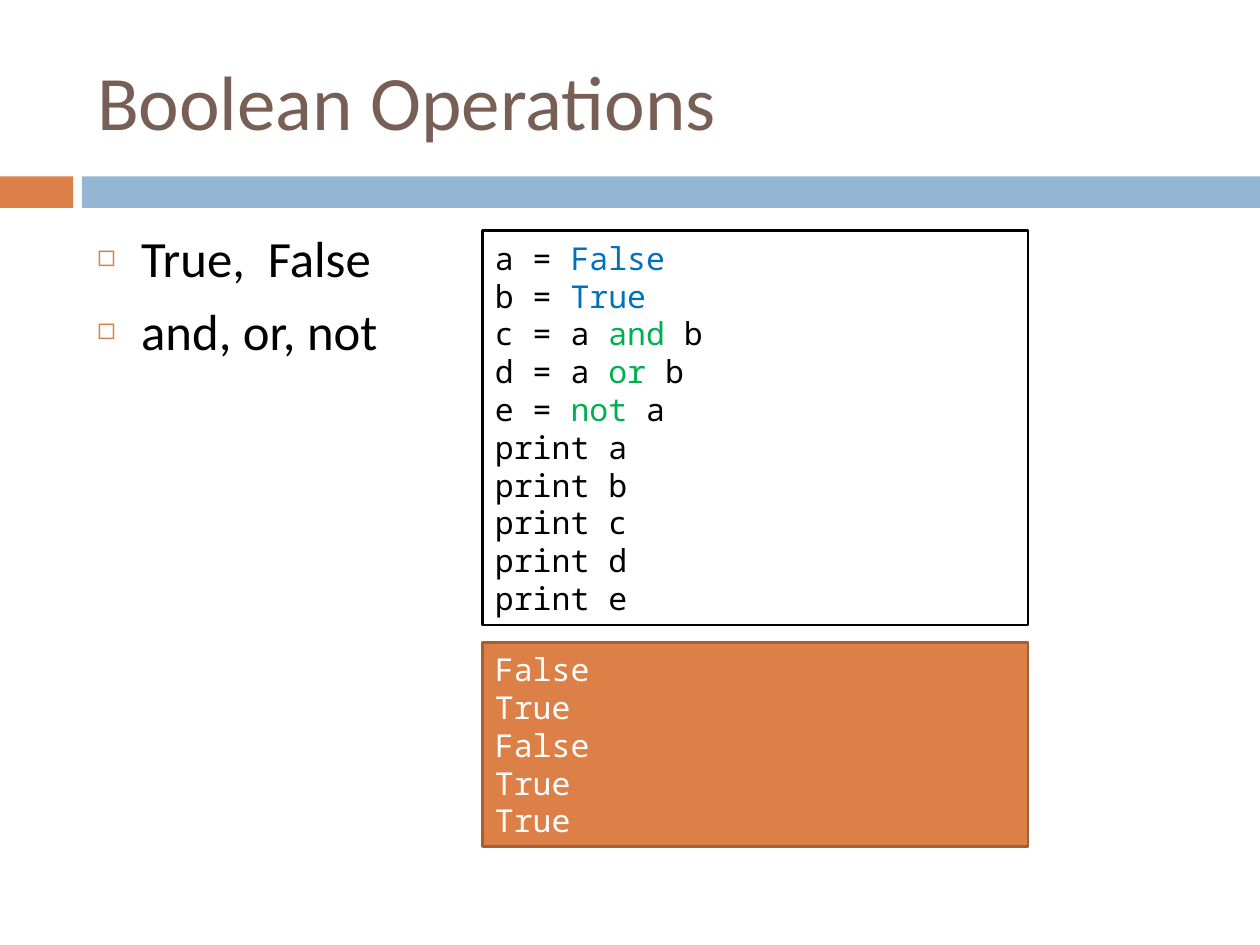
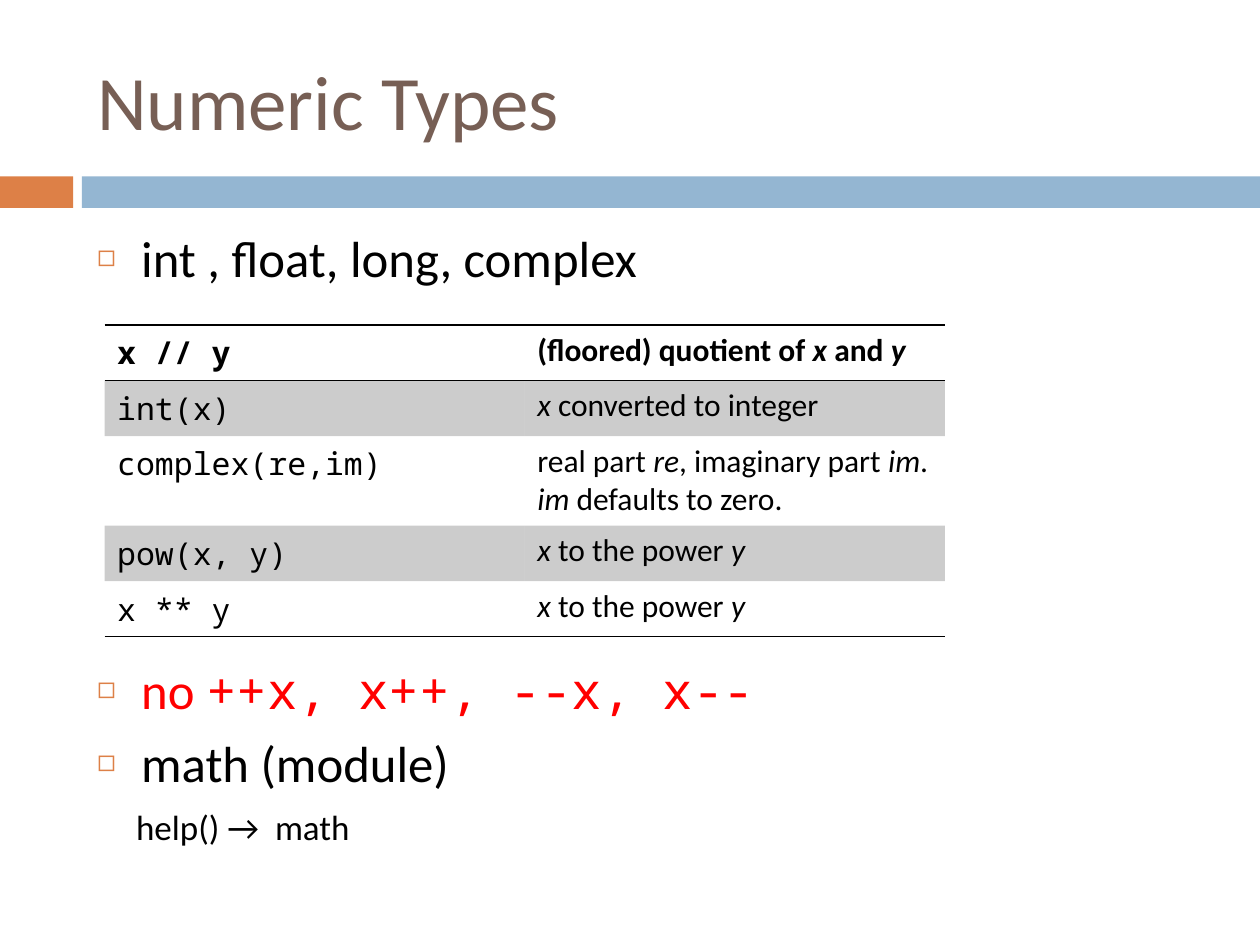
"""Builds two Python lesson slides: Boolean operations and numeric types."""
from lxml import etree
from pptx import Presentation
from pptx.dml.color import RGBColor
from pptx.enum.shapes import MSO_SHAPE
from pptx.enum.text import MSO_ANCHOR, MSO_AUTO_SIZE, PP_ALIGN
from pptx.oxml import parse_xml
from pptx.oxml.ns import nsdecls, qn
from pptx.util import Inches, Pt


class Theme:
    orange, blue, brown = "DD8047", "94B6D2", "775F55"
    black, white, red = "000000", "FFFFFF", "FF0000"
    value, operator, rust = "0070C0", "00B050", "A35F35"
    sans, mono = "Calibri", "Noto Sans Mono"
    title, body, small, code = 44, 29, 20, 18
    code_pitch, body_gap, table_gap = 21.6, 7, 212


VALUE, OPERATOR = {"color": Theme.value}, {"color": Theme.operator}
ITALIC = {"italic": True}
X, Y, RE, IM = (("x", ITALIC), ("y", ITALIC), ("re", ITALIC), ("im", ITALIC))

BOOLEAN_ITEMS = [["True,  False"], ["and, or, not"]]
CODE = [
    ["a = ", ("False", VALUE)],
    ["b = ", ("True", VALUE)],
    ["c = a ", ("and", OPERATOR), " b"],
    ["d = a ", ("or", OPERATOR), " b"],
    ["e = ", ("not", OPERATOR), " a"],
    *[[f"print {name}"] for name in "abcde"],
]
OUTPUT = [["False"], ["True"], ["False"], ["True"], ["True"]]

NUMERIC_ITEMS = [
    ["int , float, long, complex"],
    [("no ", {"color": Theme.red}),
     ("++x, x++, --x, x--", {"color": Theme.red, "font": Theme.mono})],
    ["math (module)"],
    [("help() →  math", {"size": Theme.small})],
]
OPERATIONS = [
    ("x // y", ["(floored) quotient of ", X, " and ", Y]),
    ("int(x)", [X, " converted to integer"]),
    ("complex(re,im)", ["real part ", RE, ", imaginary part ", IM, ". ", IM, " defaults to zero."]),
    ("pow(x, y)", [X, " to the power ", Y]),
    ("x ** y", [X, " to the power ", Y]),
]


def rgb(color):
    return RGBColor.from_string(color)


def place(sp, left, top, width, height):
    sp.left, sp.top, sp.width, sp.height = map(Inches, (left, top, width, height))


def write(tf, paragraphs, pitch=None, gap=0, **base):
    """Write paragraphs of runs; a run is a string or (string, format)."""
    tf.word_wrap = True
    tf.auto_size = MSO_AUTO_SIZE.NONE
    for i, runs in enumerate(paragraphs):
        p = tf.paragraphs[0] if i == 0 else tf.add_paragraph()
        p.alignment = PP_ALIGN.LEFT
        p.space_before = Pt(gap)
        if pitch:
            p.line_spacing = Pt(pitch)
        for run in runs:
            text, own = (run, {}) if isinstance(run, str) else run
            fmt = {"font": Theme.sans, "color": Theme.black, "bold": False, "italic": False, **base, **own}
            r = p.add_run()
            r.text = text
            r.font.name, r.font.size = fmt["font"], Pt(fmt["size"])
            r.font.bold, r.font.italic = fmt["bold"], fmt["italic"]
            r.font.color.rgb = rgb(fmt["color"])


def add_box(slide, at, fill, line=None):
    sp = slide.shapes.add_shape(MSO_SHAPE.RECTANGLE, *map(Inches, at))
    sp.shadow.inherit = False
    sp.fill.solid()
    sp.fill.fore_color.rgb = rgb(fill)
    if line:
        sp.line.color.rgb = rgb(line)
        sp.line.width = Pt(1.5)
    else:
        sp.line.fill.background()
    return sp


def add_code(slide, top, height, lines, fill, line, color):
    sp = add_box(slide, (3.83, top, 4.33, height), fill, line)
    write(sp.text_frame, lines, pitch=Theme.code_pitch, font=Theme.mono, size=Theme.code, color=color)


def set_bullet(p, indent=0.35, bullet=True):
    pPr = p._p.get_or_add_pPr()
    pPr.set("marL", str(Inches(indent)))
    pPr.set("indent", str(-Inches(indent) if bullet else 0))
    if not bullet:
        etree.SubElement(pPr, qn("a:buNone"))
        return
    color = etree.SubElement(pPr, qn("a:buClr"))
    etree.SubElement(color, qn("a:srgbClr"), val=Theme.orange)
    etree.SubElement(pPr, qn("a:buSzPct"), val="60000")
    etree.SubElement(pPr, qn("a:buFont"), typeface=Theme.sans)
    etree.SubElement(pPr, qn("a:buChar"), char="◻")


def add_slide(prs, title, items):
    slide = prs.slides.add_slide(prs.slide_layouts[1])
    add_box(slide, (0, 1.4, 0.58, 0.25), Theme.orange)
    add_box(slide, (0.65, 1.4, 9.35, 0.25), Theme.blue)
    heading, body = slide.shapes.title, slide.placeholders[1]
    place(heading, 0.67, 0.25, 8.92, 1.08)
    heading.text_frame.vertical_anchor = MSO_ANCHOR.MIDDLE
    write(heading.text_frame, [[title]], size=Theme.title, color=Theme.brown)
    place(body, 0.67, 1.75, 8.92, 4.92)
    write(body.text_frame, items, gap=Theme.body_gap, size=Theme.body)
    for p in body.text_frame.paragraphs:
        set_bullet(p)
    return slide, body.text_frame.paragraphs


def set_borders(cell, top, bottom):
    tcPr = cell._tc.get_or_add_tcPr()
    for i, (side, shown) in enumerate((("L", False), ("R", False), ("T", top), ("B", bottom))):
        paint = f'<a:solidFill><a:srgbClr val="{Theme.black}"/></a:solidFill>' if shown else "<a:noFill/>"
        tcPr.insert(i, parse_xml(f'<a:ln{side} {nsdecls("a")} w="{Pt(1)}">{paint}</a:ln{side}>'))


def add_operations(slide):
    count = len(OPERATIONS)
    frame = slide.shapes.add_table(count, 2, Inches(0.83), Inches(2.58), Inches(6.67), Inches(0.41 * count))
    table = frame.table
    table.horz_banding = False
    for i, (call, meaning) in enumerate(OPERATIONS):
        for j, (runs, font) in enumerate((([call], Theme.mono), (meaning, Theme.sans))):
            cell = table.cell(i, j)
            write(cell.text_frame, [runs], font=font, size=Theme.code, bold=i == 0)
            if i % 2:
                cell.fill.solid()
                cell.fill.fore_color.rgb = rgb(Theme.black)
                color = cell._tc.tcPr.find(".//" + qn("a:srgbClr"))
                etree.SubElement(color, qn("a:alpha"), val="20000")
            else:
                cell.fill.background()
            set_borders(cell, top=i in (0, 1), bottom=i in (0, count - 1))


def main():
    prs = Presentation()
    prs.slide_width, prs.slide_height = Inches(10), Inches(7.5)

    slide, _ = add_slide(prs, "Boolean Operations", BOOLEAN_ITEMS)
    add_code(slide, 1.83, 3.13, CODE, Theme.white, Theme.black, Theme.black)
    add_code(slide, 5.1, 1.62, OUTPUT, Theme.orange, Theme.rust, Theme.white)

    slide, (_, increments, _, hint) = add_slide(prs, "Numeric Types", NUMERIC_ITEMS)
    increments.space_before = Pt(Theme.table_gap)
    for tag in ("a:buClr", "a:buSzPct", "a:buFont", "a:buChar"):
        hint._p.pPr.remove(hint._p.pPr.find(qn(tag)))
    set_bullet(hint, 0.31, bullet=False)
    add_operations(slide)

    prs.save("out.pptx")


if __name__ == "__main__":
    main()
